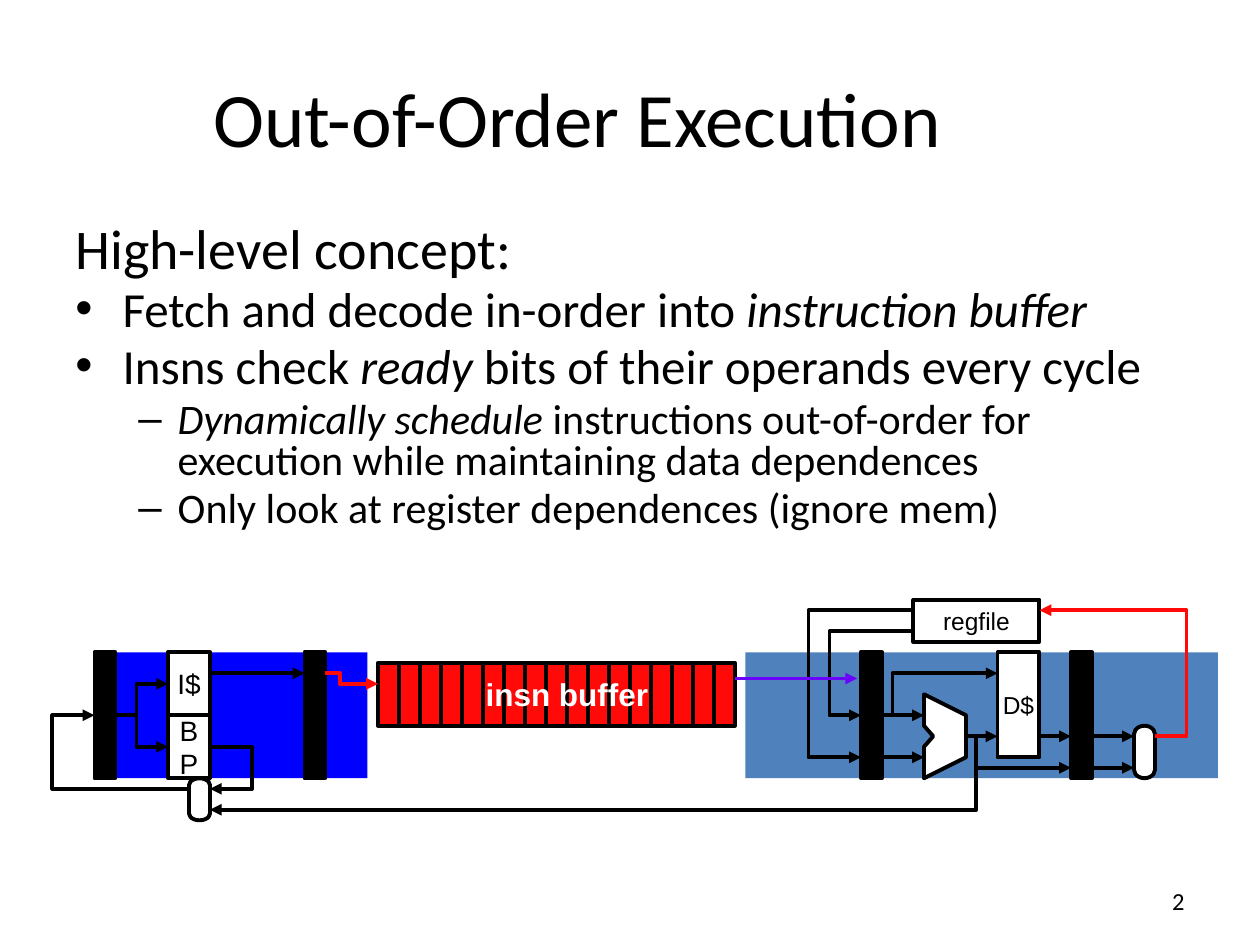
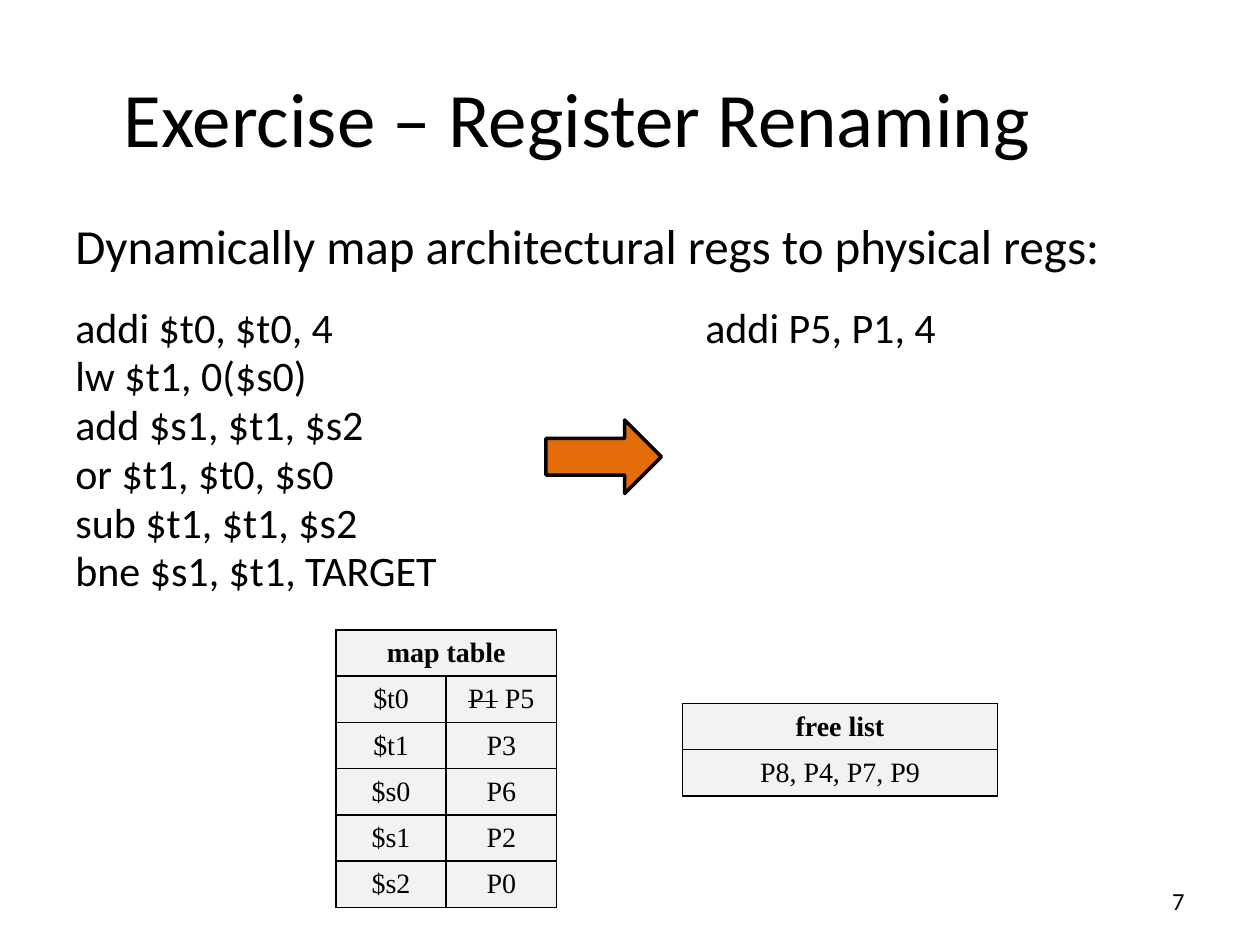
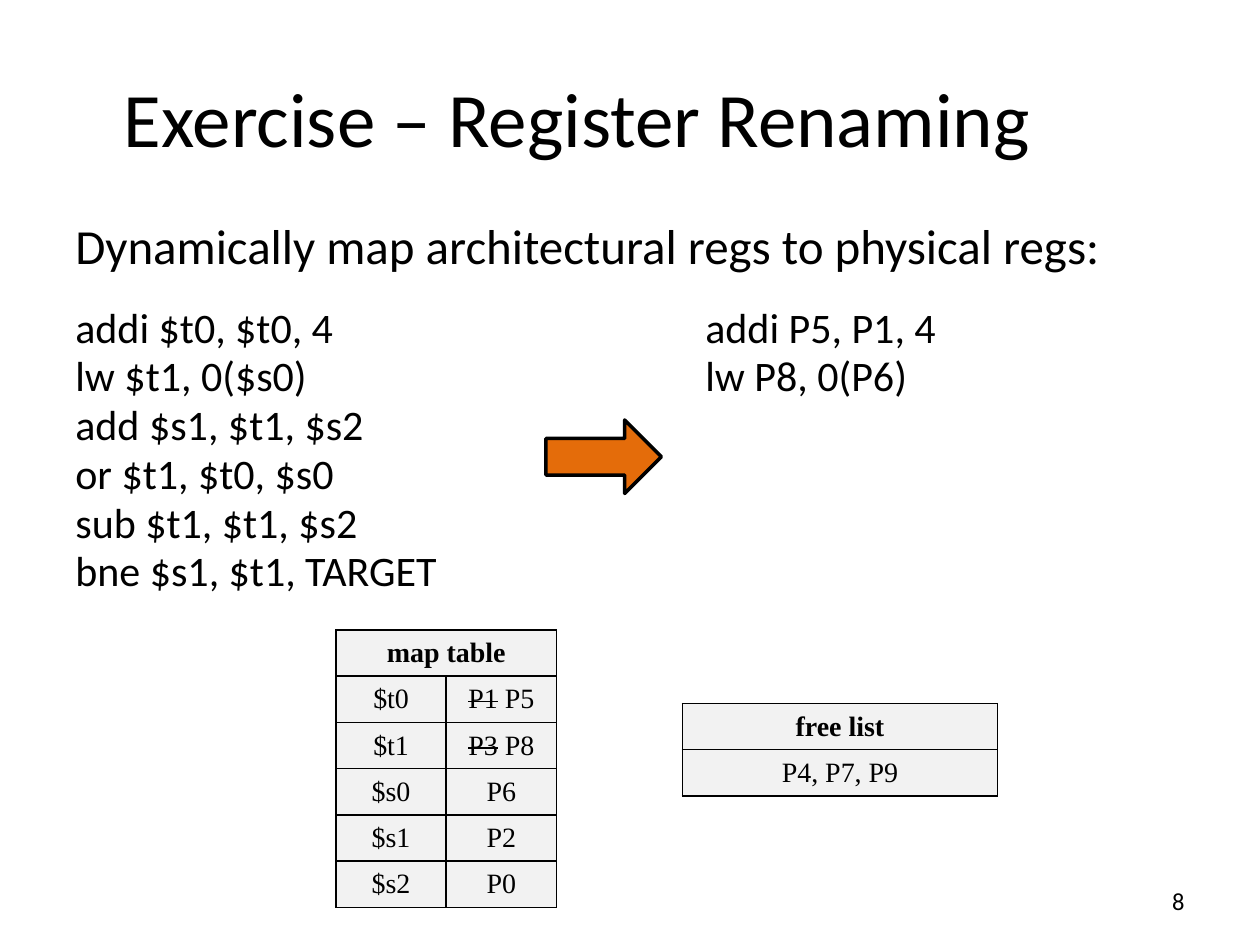
from dataclasses import dataclass
from typing import NamedTuple

from lxml.etree import SubElement as Sub
from pptx import Presentation
from pptx.dml.color import RGBColor as Rgb
from pptx.enum.shapes import MSO_CONNECTOR as Conn, MSO_SHAPE as Kind
from pptx.enum.text import MSO_ANCHOR as Anchor, PP_ALIGN as Align
from pptx.oxml.ns import qn
from pptx.util import Pt

SCALE = 9525


@dataclass(frozen=True)
class Theme:
    black: str = "000000"
    white: str = "FFFFFF"
    red: str = "FF0909"
    blue: str = "0000FF"
    steel: str = "4F81BD"
    violet: str = "6B02FF"
    orange: str = "E46C0A"
    pale: str = "F2F2F2"
    sans: str = "Calibri"
    label: str = "Arial"
    serif: str = "Times New Roman"
    title: int = 44
    head: int = 32
    point: int = 28
    sub: int = 24
    slot: int = 18
    cell: int = 16
    small: int = 14
    wire: float = 2.25
    arrow: float = 2
    rule: float = 1
    tight: float = 0.8
    lead: float = 0.2


T = Theme()


class Rect(NamedTuple):
    x: int
    y: int
    w: int
    h: int

    def emu(self) -> list[int]:
        return [px(n) for n in self]


class Run(NamedTuple):
    text: str
    slant: bool = False
    strike: bool = False


class Mark(NamedTuple):
    sign: str
    left: int
    hang: int


@dataclass(frozen=True)
class Para:
    runs: tuple[Run, ...]
    size: int
    mark: Mark | None = None
    tab: int = 0
    gap: float | None = None


@dataclass(frozen=True)
class Box:
    rect: Rect
    fill: str = T.white
    lines: tuple[str, ...] = ()
    size: int = T.small
    edge: float = T.wire
    kind: Kind = Kind.RECTANGLE
    turn: int = 0


@dataclass(frozen=True)
class Wire:
    points: tuple[tuple[int, int], ...]
    color: str = T.black
    tip: bool = True


TITLE = Rect(48, 29, 784, 120)
PAGE = Rect(800, 667, 112, 38)
BODY = Rect(48, 168, 864, 440)
CODE = Rect(48, 168, 864, 336)
ARROW = Box(Rect(416, 320, 88, 56), T.orange, edge=T.arrow, kind=Kind.RIGHT_ARROW)
QUEUE = Rect(288, 505, 288, 48)
MAP = Rect(256, 480, 168, 198)
FREE = Rect(520, 536, 240, 66)
SLOT, SLOTS = 16, 17
TAB = 480
DOT = Mark("•", 36, 36)
DASH = Mark("–", 78, 30)

POINTS = (
    Para((Run("High-level concept:"),), T.head),
    Para((Run("Fetch and decode in-order into "), Run("instruction buffer", True)), T.point, DOT),
    Para((Run("Insns check "), Run("ready", True),
          Run(" bits of their operands every cycle")), T.point, DOT),
    Para((Run("Dynamically schedule ", True),
          Run("instructions out-of-order for execution while maintaining data dependences")),
         T.sub, DASH),
    Para((Run("Only look at register dependences (ignore mem)"),), T.sub, DASH),
)

LATCHES = tuple(Box(Rect(x, 497, 16, 96), T.black) for x in (72, 232, 656, 816))
BOXES = (
    Box(Rect(568, 497, 360, 96), T.steel, edge=0),
    Box(Rect(88, 497, 192, 96), T.blue, edge=0),
    Box(Rect(696, 457, 96, 32), lines=("regfile",)),
    Box(Rect(760, 497, 32, 80), lines=("D$",)),
    *LATCHES,
    Box(Rect(852, 565, 40, 16), kind=Kind.FLOWCHART_TERMINATOR, turn=90),
    Box(Rect(136, 601, 32, 16), kind=Kind.FLOWCHART_TERMINATOR, turn=90),
    Box(Rect(128, 497, 32, 48), lines=("I$",), size=T.cell),
    Box(Rect(128, 545, 32, 48), lines=("B", "P"), size=T.cell),
    *(Box(Rect(QUEUE.x + i * SLOT, QUEUE.y, SLOT, QUEUE.h), T.red) for i in range(SLOTS)),
)
ALU = ((704, 529), (704, 553), (711, 561), (704, 569), (704, 593), (736, 577), (736, 545))
WIRES = (
    Wire(((832, 561), (864, 561))),
    Wire(((832, 585), (864, 585))),
    Wire(((792, 561), (816, 561))),
    Wire(((672, 545), (704, 545))),
    Wire(((672, 577), (704, 577))),
    Wire(((680, 545), (680, 513), (760, 513))),
    Wire(((744, 561), (744, 585), (816, 585))),
    Wire(((696, 481), (632, 481), (632, 545), (656, 545))),
    Wire(((696, 465), (616, 465), (616, 577), (656, 577))),
    Wire(((88, 545), (104, 545)), tip=False),
    Wire(((104, 553), (104, 521), (128, 521))),
    Wire(((160, 513), (232, 513))),
    Wire(((104, 553), (104, 569), (128, 569))),
    Wire(((160, 569), (192, 569), (192, 601), (160, 601))),
    Wire(((744, 561), (744, 617), (160, 617))),
    Wire(((144, 601), (40, 601), (40, 545), (72, 545))),
    Wire(((736, 561), (760, 561))),
    Wire(((880, 561), (904, 561), (904, 465), (792, 465)), T.red),
    Wire(((248, 513), (259, 513), (259, 521), (288, 521)), T.red),
    Wire(((560, 517), (653, 517)), T.violet),
)

SOURCE = ("addi $t0, $t0, 4", "lw $t1, 0($s0)", "add $s1, $t1, $s2",
          "or $t1, $t0, $s0", "sub $t1, $t1, $s2", "bne $s1, $t1, TARGET")
RENAMED = ("addi P5, P1, 4", "lw P8, 0(P6)")
REGS = (("$t0", "P1", "P5"), ("$t1", "P3", "P8"), ("$s0", "P6", ""),
        ("$s1", "P2", ""), ("$s2", "P0", ""))
POOL = ("P8", "P4", "P7", "P9")


def px(n: int) -> int:
    return n * SCALE


def add_run(para, run: Run, size: int, face: str, color: str = T.black, bold: bool = False) -> None:
    item = para.add_run()
    item.text = run.text
    font = item.font
    font.name, font.size = face, Pt(size)
    font.bold, font.italic = bold, run.slant
    font.color.rgb = Rgb.from_string(color)
    if run.strike:
        font._element.set("strike", "sngStrike")


def add_lines(frame, lines: tuple[str, ...], size: int, color: str = T.black,
              bold: bool = False) -> None:
    frame.word_wrap = False
    frame.vertical_anchor = Anchor.MIDDLE
    for i, line in enumerate(lines):
        para = frame.add_paragraph() if i else frame.paragraphs[0]
        para.alignment = Align.CENTER
        add_run(para, Run(line), size, T.label, color, bold)


def paint(shape, fill: str | None, edge: float, color: str = T.black) -> None:
    shape.shadow.inherit = False
    if fill:
        shape.fill.solid()
        shape.fill.fore_color.rgb = Rgb.from_string(fill)
    else:
        shape.fill.background()
    if edge:
        stroke(shape, edge, color)
    else:
        shape.line.fill.background()


def stroke(shape, width: float, color: str) -> None:
    shape.line.width = Pt(width)
    shape.line.color.rgb = Rgb.from_string(color)


def add_box(slide, box: Box) -> None:
    shape = slide.shapes.add_shape(box.kind, *box.rect.emu())
    shape.rotation = box.turn
    paint(shape, box.fill, box.edge)
    add_lines(shape.text_frame, box.lines, box.size)


def trace(slide, points: tuple[tuple[int, int], ...], close: bool):
    path = slide.shapes.build_freeform(*points[0], scale=SCALE)
    path.add_line_segments(points[1:], close=close)
    return path.convert_to_shape()


def add_wire(slide, wire: Wire) -> None:
    if len(wire.points) == 2:
        ends = [px(n) for point in wire.points for n in point]
        shape = slide.shapes.add_connector(Conn.STRAIGHT, *ends)
        stroke(shape, T.wire, wire.color)
        Sub(shape._element.spPr, qn("a:effectLst"))
    else:
        shape = trace(slide, wire.points, False)
        paint(shape, None, T.wire, wire.color)
    if wire.tip:
        Sub(shape.line._get_or_add_ln(), qn("a:tailEnd"), type="triangle")


def add_body(slide, rect: Rect, paras: tuple[Para, ...]) -> None:
    frame = slide.shapes.add_textbox(*rect.emu()).text_frame
    frame.word_wrap = True
    for i, item in enumerate(paras):
        para = frame.add_paragraph() if i else frame.paragraphs[0]
        props = para._p.get_or_add_pPr()
        if item.mark:
            props.set("marL", str(px(item.mark.left)))
            props.set("indent", str(-px(item.mark.hang)))
            Sub(props, qn("a:buFont"), typeface=T.label)
            Sub(props, qn("a:buChar"), char=item.mark.sign)
        if item.tab:
            tabs = Sub(props, qn("a:tabLst"))
            Sub(tabs, qn("a:tab"), pos=str(px(item.tab)), algn="l")
        para.line_spacing = T.tight
        if i:
            para.space_before = Pt(item.size * T.lead if item.gap is None else item.gap)
        for run in item.runs:
            add_run(para, run, item.size, T.sans)


def fill_cell(cell, runs: tuple[Run, ...], bold: bool) -> None:
    props = cell._tc.get_or_add_tcPr()
    for side in ("L", "R", "T", "B"):
        line = Sub(props, qn(f"a:ln{side}"), w=str(Pt(T.rule)))
        Sub(Sub(line, qn("a:solidFill")), qn("a:srgbClr"), val=T.black)
    cell.fill.solid()
    cell.fill.fore_color.rgb = Rgb.from_string(T.pale)
    cell.vertical_anchor = Anchor.MIDDLE
    para = cell.text_frame.paragraphs[0]
    para.alignment = Align.CENTER
    for run in runs:
        add_run(para, run, T.cell, T.serif, bold=bold)


def add_grid(slide, rect: Rect, head: str, rows: list[list[tuple[Run, ...]]]) -> None:
    wide = len(rows[0])
    table = slide.shapes.add_table(len(rows) + 1, wide, *rect.emu()).table
    table.first_row = table.horz_banding = False
    blank = [()] * (wide - 1)
    for r, row in enumerate([[(Run(head),), *blank], *rows]):
        for c, runs in enumerate(row):
            fill_cell(table.cell(r, c), runs, r == 0)
    if wide > 1:
        table.cell(0, 0).merge(table.cell(0, wide - 1))


def start(deck, title: str, page: int):
    slide = deck.slides.add_slide(deck.slide_layouts[5])
    head = slide.shapes.title
    head.left, head.top, head.width, head.height = TITLE.emu()
    head.text_frame.vertical_anchor = Anchor.MIDDLE
    para = head.text_frame.paragraphs[0]
    para.alignment = Align.CENTER
    add_run(para, Run(title), T.title, T.sans)
    frame = slide.shapes.add_textbox(*PAGE.emu()).text_frame
    frame.word_wrap = True
    frame.vertical_anchor = Anchor.MIDDLE
    frame.paragraphs[0].alignment = Align.RIGHT
    add_run(frame.paragraphs[0], Run(str(page)), T.small, T.sans)
    return slide


def draw_concept(deck) -> None:
    slide = start(deck, "Out-of-Order Execution", 2)
    add_body(slide, BODY, POINTS)
    for box in BOXES:
        add_box(slide, box)
    paint(trace(slide, ALU, True), T.white, T.wire)
    label = slide.shapes.add_textbox(*QUEUE.emu())
    add_lines(label.text_frame, ("insn buffer",), T.slot, T.white, True)
    for wire in WIRES:
        add_wire(slide, wire)


def draw_step(deck, page: int, done: int) -> None:
    slide = start(deck, "Exercise – Register Renaming", page)
    add_box(slide, ARROW)
    paras = [Para((Run("Dynamically map architectural regs to physical regs:"),), T.point)]
    for i, line in enumerate(SOURCE):
        text = f"{line}\t{RENAMED[i]}" if i < done else line
        paras.append(Para((Run(text),), T.sub, tab=TAB, gap=None if i else 21.3))
    add_body(slide, CODE, tuple(paras))
    rows = []
    for i, (reg, old, new) in enumerate(REGS):
        held = (Run(old, strike=True), Run(f" {new}")) if i < done else (Run(old),)
        rows.append([(Run(reg),), held])
    add_grid(slide, MAP, "map table", rows)
    add_grid(slide, FREE, "free list", [[(Run(", ".join(POOL[done - 1:])),)]])


def main() -> None:
    deck = Presentation()
    deck.slide_width, deck.slide_height = px(960), px(720)
    draw_concept(deck)
    for page, done in ((7, 1), (8, 2)):
        draw_step(deck, page, done)
    deck.save("out.pptx")


if __name__ == "__main__":
    main()
